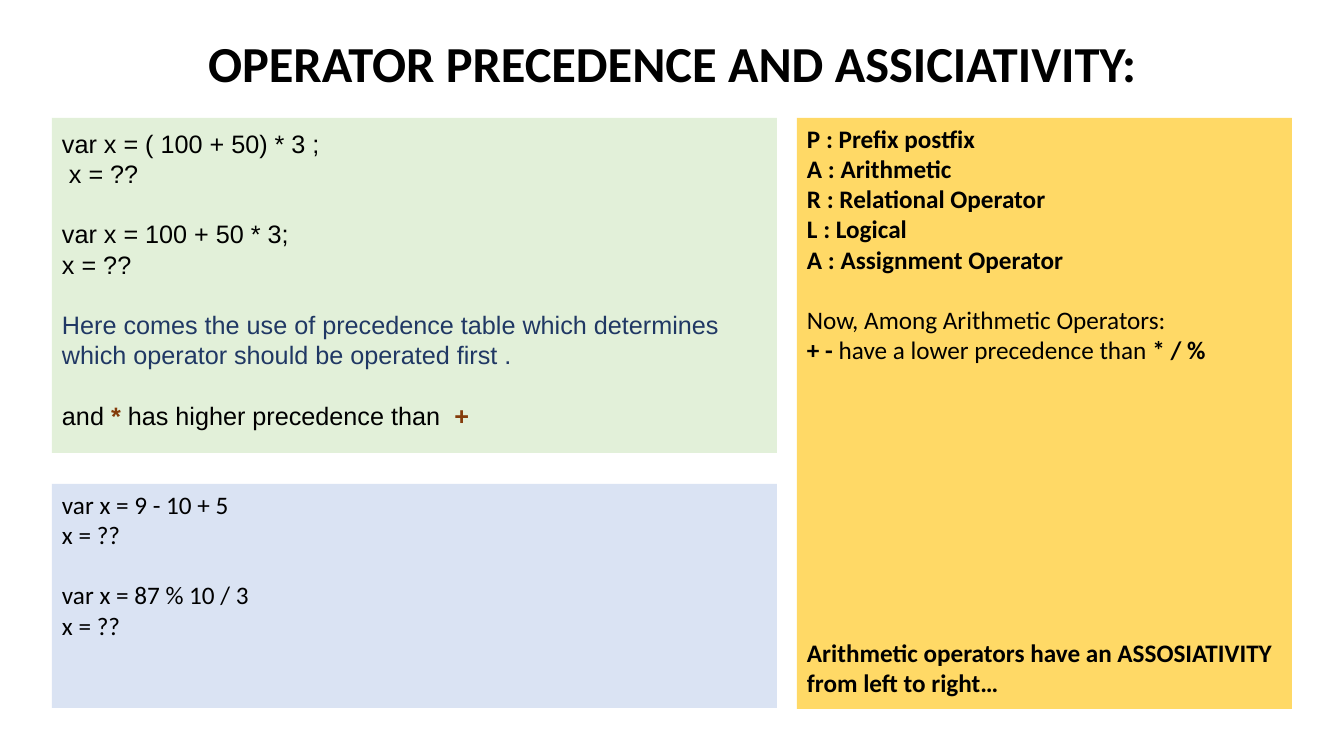
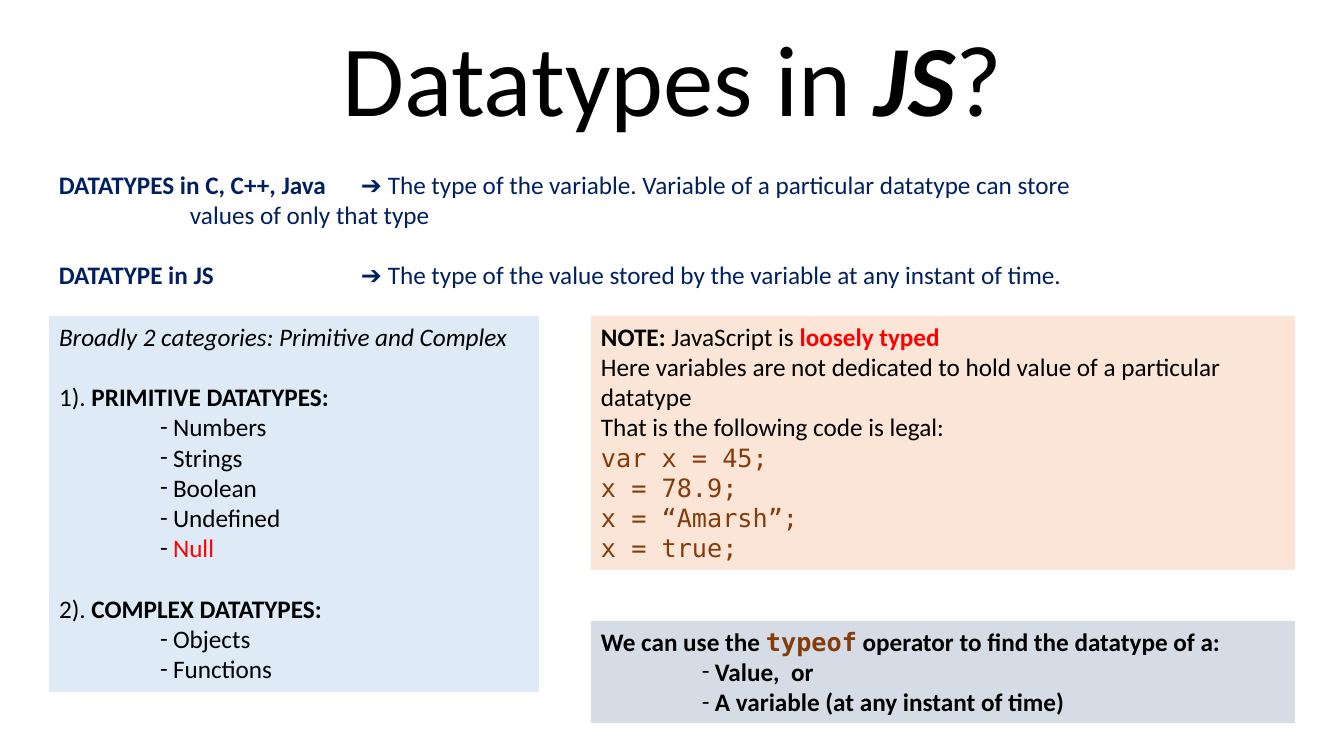
from dataclasses import dataclass

from lxml.etree import SubElement
from pptx import Presentation
from pptx.dml.color import RGBColor
from pptx.enum.shapes import MSO_SHAPE
from pptx.enum.text import MSO_ANCHOR, PP_ALIGN
from pptx.oxml.ns import qn
from pptx.util import Emu, Pt


@dataclass(frozen=True)
class Theme:
    ink: str = "000000"
    navy: str = "002060"
    indigo: str = "203864"
    brown: str = "843C0B"
    red: str = "FF0000"
    green_fill: str = "E2F0D9"
    yellow_fill: str = "FFD966"
    blue_fill: str = "DAE3F3"
    sky_fill: str = "DEEBF7"
    peach_fill: str = "FBE5D6"
    slate_fill: str = "D6DCE5"
    sans: str = "Calibri"
    plain: str = "Arial"
    mono: str = "DejaVu Sans Mono"
    body: int = 18
    heading: int = 36
    display: int = 72
    leading: float = 1.2
    pad_x: int = 10
    pad_y: int = 5
    list_indent: int = 114
    dash_width: int = 13


THEME = Theme()
PX_PER_INCH = 100.8


def px(length: int) -> Emu:
    return Emu(round(length * 914400 / PX_PER_INCH))


@dataclass(frozen=True)
class Span:
    text: str
    color: str = THEME.ink
    bold: bool = False
    italic: bool = False
    font: str = THEME.sans


@dataclass(frozen=True)
class Line:
    spans: tuple[Span, ...]
    blank_before: int = 0
    dash: bool = False
    indent: int = 0
    tab: int = 0


@dataclass(frozen=True)
class Panel:
    left: int
    top: int
    width: int
    height: int
    lines: tuple[Line, ...]
    fill: str | None = None
    size: int = THEME.body
    centered: bool = False
    pad_y: int = THEME.pad_y


def line(*spans: Span, **layout) -> Line:
    return Line(spans, **layout)


def strong(text: str, color: str = THEME.ink) -> Span:
    return Span(text, color, bold=True)


def plain(text: str, color: str = THEME.ink, bold: bool = False) -> Span:
    return Span(text, color, bold, font=THEME.plain)


def code(text: str, bold: bool = False) -> Span:
    return Span(text, THEME.brown, bold, font=THEME.mono)


def dashed(*spans: Span) -> Line:
    return Line(spans, dash=True)


def add_dash(properties) -> None:
    properties.set("marL", str(px(THEME.list_indent)))
    properties.set("indent", str(-px(THEME.dash_width)))
    color = SubElement(properties, qn("a:buClr"))
    SubElement(color, qn("a:srgbClr"), val=THEME.ink)
    SubElement(properties, qn("a:buFont"), typeface=THEME.sans)
    SubElement(properties, qn("a:buChar"), char="-")


def write_line(para, content: Line, panel: Panel) -> None:
    pitch = panel.size * THEME.leading
    para.alignment = PP_ALIGN.CENTER if panel.centered else PP_ALIGN.LEFT
    para.line_spacing = Pt(pitch)
    para.space_before = Pt(pitch * content.blank_before)
    properties = para._p.get_or_add_pPr()
    if content.dash:
        add_dash(properties)
    if content.indent:
        properties.set("marL", str(px(content.indent)))
    if content.tab:
        stops = SubElement(properties, qn("a:tabLst"))
        SubElement(stops, qn("a:tab"), pos=str(px(content.tab)), algn="l")
    for span in content.spans:
        run = para.add_run()
        run.text = span.text
        run.font.name = span.font
        run.font.size = Pt(panel.size)
        run.font.bold = span.bold
        run.font.italic = span.italic
        run.font.color.rgb = RGBColor.from_string(span.color)


def draw_panel(page, panel: Panel) -> None:
    place = [px(n) for n in (panel.left, panel.top, panel.width, panel.height)]
    if panel.fill:
        box = page.shapes.add_shape(MSO_SHAPE.RECTANGLE, *place)
        box.shadow.inherit = False
        box.fill.solid()
        box.fill.fore_color.rgb = RGBColor.from_string(panel.fill)
        box.line.fill.background()
    else:
        box = page.shapes.add_textbox(*place)
    frame = box.text_frame
    frame.word_wrap = True
    frame.vertical_anchor = MSO_ANCHOR.TOP
    frame.margin_left = frame.margin_right = px(THEME.pad_x)
    frame.margin_top = frame.margin_bottom = px(panel.pad_y)
    for index, content in enumerate(panel.lines):
        para = frame.add_paragraph() if index else frame.paragraphs[0]
        write_line(para, content, panel)


def title(left: int, top: int, width: int, height: int, size: int, *spans: Span) -> Panel:
    return Panel(left, top, width, height, (Line(spans),), size=size, centered=True)


PRECEDENCE = (
    title(126, 27, 1093, 72, THEME.heading, strong("OPERATOR PRECEDENCE AND ASSICIATIVITY:")),
    Panel(52, 118, 725, 335, (
        line(plain("var x = ( 100 + 50) * 3 ;")),
        line(plain(" x = ??")),
        line(plain("var x = 100 + 50 * 3;"), blank_before=1),
        line(plain("x = ??")),
        line(plain("Here comes the use of precedence table which determines "
                   "which operator should be operated first .", THEME.indigo), blank_before=1),
        line(plain("and "), plain("*", THEME.brown, True),
             plain(" has higher precedence than  "), plain("+", THEME.brown, True),
             blank_before=1),
    ), THEME.green_fill, pad_y=10),
    Panel(797, 118, 495, 591, (
        *(line(strong(text)) for text in (
            "P : Prefix postfix", "A : Arithmetic", "R : Relational Operator",
            "L : Logical", "A : Assignment Operator")),
        line(Span("Now, Among Arithmetic Operators:"), blank_before=1),
        line(strong("+ - "), Span("have a lower precedence than "), strong("* / %")),
        line(strong("Arithmetic operators have an ASSOSIATIVITY from left to right…"),
             blank_before=9),
    ), THEME.yellow_fill),
    Panel(52, 484, 725, 224, (
        line(Span("var x = 9 - 10 + 5")),
        line(Span("x = ??")),
        line(Span("var x = 87 % 10 / 3"), blank_before=1),
        line(Span("x = ??")),
    ), THEME.blue_fill),
)

DATATYPES = (
    title(329, 11, 686, 132, THEME.display,
          Span("Datatypes in "), Span("JS", bold=True, italic=True), Span("?")),
    Panel(49, 164, 1252, 132, (
        line(strong("DATATYPES in C, C++, Java\t", THEME.navy),
             Span("➔ The type of the variable. Variable of a particular datatype can store",
                  THEME.navy), tab=302),
        line(Span("values of only that type", THEME.navy), indent=131),
        line(strong("DATATYPE in JS\t", THEME.navy),
             Span("➔ The type of the value stored by the variable at any instant of time.",
                  THEME.navy), blank_before=1, tab=302),
    )),
    Panel(49, 316, 490, 376, (
        line(Span("Broadly 2 categories: Primitive and Complex", italic=True)),
        line(Span("1). "), strong("PRIMITIVE DATATYPES:"), blank_before=1),
        *(dashed(Span(name)) for name in ("Numbers", "Strings", "Boolean", "Undefined")),
        dashed(Span("Null", THEME.red)),
        line(Span("2). "), strong("COMPLEX DATATYPES:"), blank_before=1),
        *(dashed(Span(name)) for name in ("Objects", "Functions")),
    ), THEME.sky_fill),
    Panel(591, 316, 704, 254, (
        line(strong("NOTE: "), Span("JavaScript is "), strong("loosely typed", THEME.red)),
        line(Span("Here variables are not dedicated to hold value of a particular datatype")),
        line(Span("That is the following code is legal:")),
        *(line(code(text)) for text in (
            "var x = 45;", "x = 78.9;", "x = “Amarsh”;", "x = true;")),
    ), THEME.peach_fill),
    Panel(591, 621, 704, 102, (
        line(strong("We can use the "), code("typeof", bold=True),
             strong(" operator to find the datatype of a:")),
        dashed(strong("Value,  or")),
        dashed(strong("A variable (at any instant of time)")),
    ), THEME.slate_fill),
)


def main() -> None:
    deck = Presentation()
    deck.slide_width, deck.slide_height = px(1344), px(756)
    for panels in (PRECEDENCE, DATATYPES):
        page = deck.slides.add_slide(deck.slide_layouts[6])
        for panel in panels:
            draw_panel(page, panel)
    deck.save("out.pptx")


if __name__ == "__main__":
    main()
